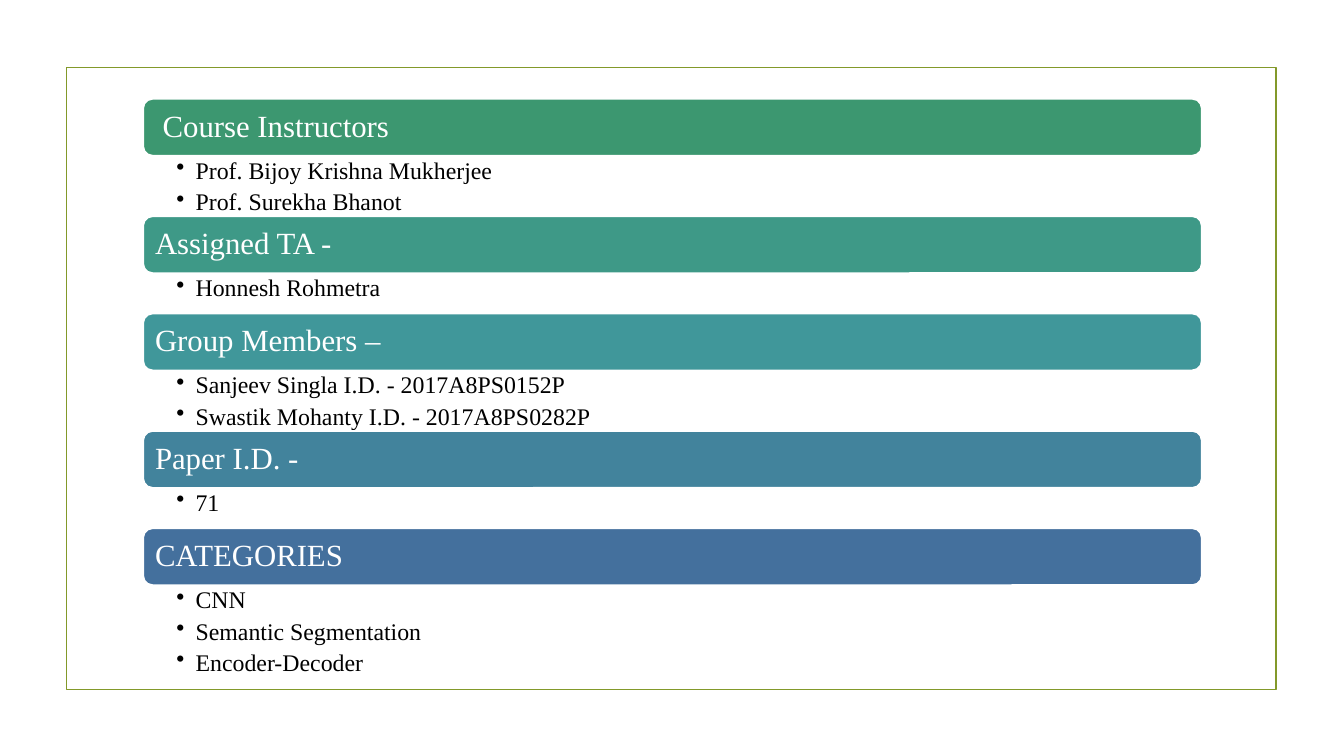
import pptx
import pptx.dml.color
import pptx.enum.shapes
import pptx.enum.text
import pptx.oxml.ns
import pptx.util
from lxml import etree
from pptx.util import Inches, Pt

COLORS = {
    "frame": "83992A",
    "white": "FFFFFF",
    "black": "000000",
    "instructors": "3C9770",
    "assistant": "3E9987",
    "members": "40979A",
    "paper": "42839C",
    "categories": "44709D",
}
FONT = "Times New Roman"
LEFT, WIDTH = 1.42, 10.5
FIRST_TOP, BAR_HEIGHT = 0.98, 0.565

SECTIONS = [
    ("instructors", " Course Instructors", 0.6,
     ["Prof. Bijoy Krishna Mukherjee", "Prof. Surekha Bhanot"]),
    ("assistant", "Assigned TA -", 0.4, ["Honnesh Rohmetra"]),
    ("members", "Group Members –", 0.6,
     ["Sanjeev Singla I.D. - 2017A8PS0152P",
      "Swastik Mohanty I.D. - 2017A8PS0282P"]),
    ("paper", "Paper I.D. -", 0.4, ["71"]),
    ("categories", "CATEGORIES", 0.9,
     ["CNN", "Semantic Segmentation", "Encoder-Decoder"]),
]


def color(name):
    return pptx.dml.color.RGBColor.from_string(COLORS[name])


def set_margins(text_frame, left, right, vertical):
    text_frame.word_wrap = True
    text_frame.margin_left = Inches(left)
    text_frame.margin_right = Inches(right)
    text_frame.margin_top = text_frame.margin_bottom = Inches(vertical)


def format_paragraph(paragraph, size, color_name):
    paragraph.alignment = pptx.enum.text.PP_ALIGN.LEFT
    paragraph.line_spacing = 0.9
    for run in paragraph.runs:
        run.font.name = FONT
        run.font.size = Pt(size)
        run.font.color.rgb = color(color_name)


def add_bullet(paragraph):
    properties = paragraph._p.get_or_add_pPr()
    properties.set("marL", str(Inches(0.19)))
    properties.set("indent", str(-Inches(0.19)))
    bullet = etree.SubElement(properties, pptx.oxml.ns.qn("a:buChar"))
    bullet.set("char", "•")


def add_frame(slide):
    frame = slide.shapes.add_shape(
        pptx.enum.shapes.MSO_SHAPE.RECTANGLE,
        Inches(0.66), Inches(0.67), Inches(12), Inches(6.17))
    frame.shadow.inherit = False
    frame.fill.background()
    frame.line.color.rgb = color("frame")
    frame.line.width = Pt(1.25)


def add_heading(slide, top, text, color_name):
    bar = slide.shapes.add_shape(
        pptx.enum.shapes.MSO_SHAPE.ROUNDED_RECTANGLE,
        Inches(LEFT), Inches(top), Inches(WIDTH), Inches(BAR_HEIGHT))
    bar.shadow.inherit = False
    bar.fill.solid()
    bar.fill.fore_color.rgb = color(color_name)
    bar.line.color.rgb = color("white")
    bar.line.width = Pt(1.25)
    text_frame = bar.text_frame
    set_margins(text_frame, 0.09, 0.09, 0.09)
    text_frame.vertical_anchor = pptx.enum.text.MSO_ANCHOR.MIDDLE
    text_frame.text = text
    format_paragraph(text_frame.paragraphs[0], 22, "white")


def add_bullet_list(slide, top, height, items):
    box = slide.shapes.add_textbox(
        Inches(LEFT), Inches(top), Inches(WIDTH), Inches(height))
    text_frame = box.text_frame
    set_margins(text_frame, 0.33, 0.17, 0.03)
    text_frame.text = "\n".join(items)
    for paragraph in text_frame.paragraphs:
        paragraph.level = 1
        format_paragraph(paragraph, 17, "black")
        paragraph.space_after = Pt(4)
        add_bullet(paragraph)


def main():
    presentation = pptx.Presentation()
    presentation.slide_width = Inches(13.33)
    presentation.slide_height = Inches(7.5)
    slide = presentation.slides.add_slide(presentation.slide_layouts[6])
    add_frame(slide)
    top = FIRST_TOP
    for color_name, heading, list_height, items in SECTIONS:
        add_heading(slide, top, heading, color_name)
        add_bullet_list(slide, top + BAR_HEIGHT, list_height, items)
        top += BAR_HEIGHT + list_height
    presentation.save("out.pptx")


if __name__ == "__main__":
    main()
